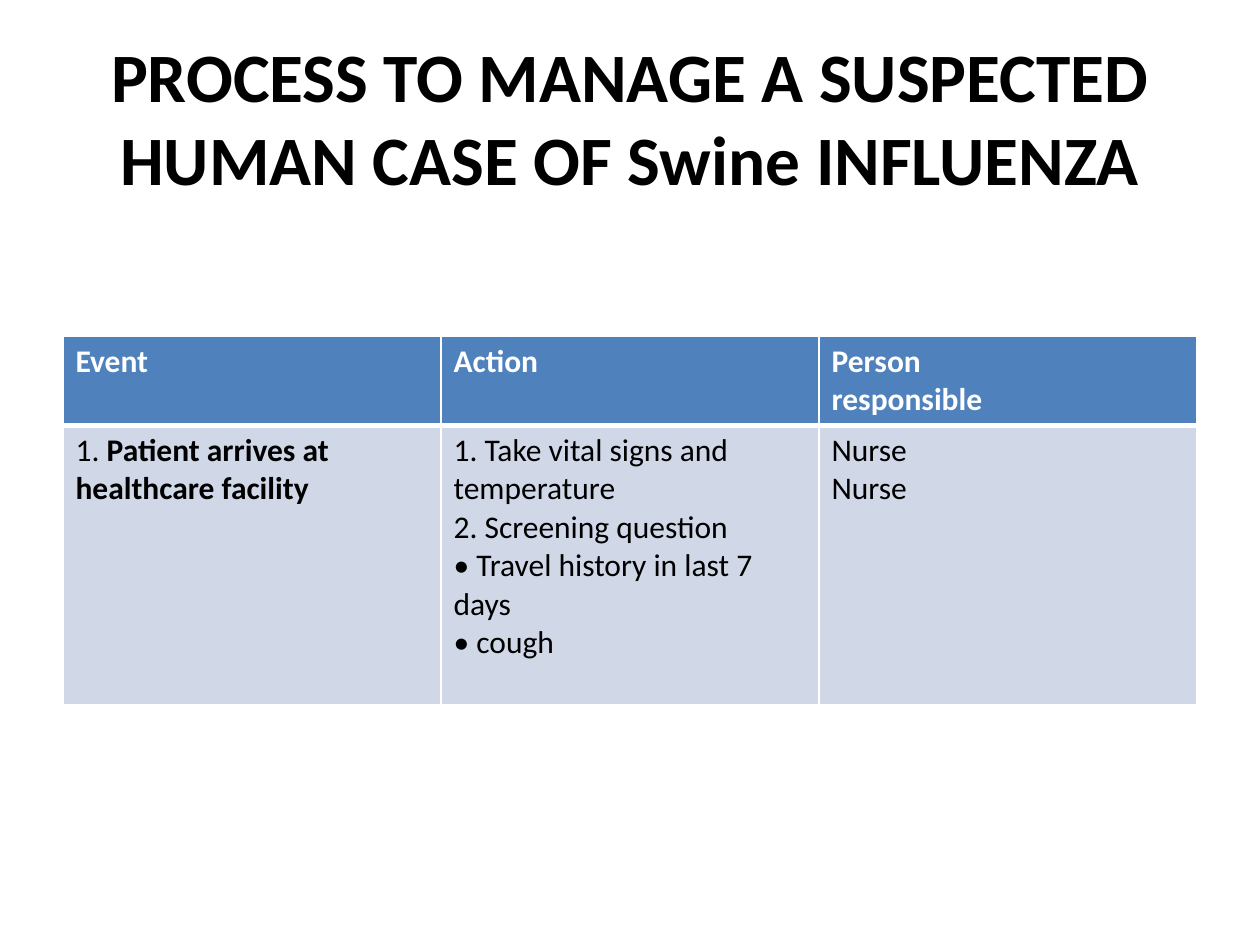
from lxml import etree
from pptx import Presentation
from pptx.dml.color import RGBColor
from pptx.enum.text import MSO_ANCHOR as Anchor, PP_ALIGN as Align
from pptx.oxml.ns import qn
from pptx.util import Pt

BLACK = RGBColor(0x00, 0x00, 0x00)
WHITE = RGBColor(0xFF, 0xFF, 0xFF)
BLUE = RGBColor(0x4F, 0x81, 0xBD)
PALE = RGBColor(0xD0, 0xD8, 0xE8)

# Each cell is a list of paragraphs, each paragraph a list of (text, bold) runs
HEADER = [
    [[("Event", True)]],
    [[("Action", True)]],
    [[("Person", True)], [("responsible", True)]],
]
BODY = [
    [[("1. ", False), ("Patient arrives at healthcare facility", True)]],
    [[(line, False)] for line in (
        "1. Take vital signs and temperature",
        "2. Screening question",
        "• Travel history in last 7 days",
        "• cough",
    )],
    [[("Nurse", False)], [("Nurse", False)]],
]


class Deck:
    font = "Calibri"

    def __init__(self, prs):
        self.s = prs.slides.add_slide(prs.slide_layouts[6])

    def style(self, r, size, color, bold):
        f = r.font
        f.name, f.size, f.bold = self.font, Pt(size), bold
        f.color.rgb = color

    def title(self, text, x, y, w, h, size):
        tf = self.s.shapes.add_textbox(Pt(x), Pt(y), Pt(w), Pt(h)).text_frame
        tf.word_wrap = True
        tf.vertical_anchor = Anchor.MIDDLE
        tf.text = text
        p = tf.paragraphs[0]
        p.alignment = Align.CENTER
        self.style(p.runs[0], size, BLACK, True)

    def border(self, cell, bottom):
        tc_pr = cell._tc.get_or_add_tcPr()
        widths = {"L": 1, "R": 1, "T": 1, "B": bottom}
        for i, (side, width) in enumerate(widths.items()):
            ln = etree.Element(qn(f"a:ln{side}"), w=str(Pt(width)))
            fill = etree.SubElement(ln, qn("a:solidFill"))
            etree.SubElement(fill, qn("a:srgbClr"), val=str(WHITE))
            tc_pr.insert(i, ln)

    def cell(self, cell, paragraphs, fill, color, bottom):
        cell.fill.solid()
        cell.fill.fore_color.rgb = fill
        self.border(cell, bottom)
        tf = cell.text_frame
        for i, runs in enumerate(paragraphs):
            p = tf.paragraphs[0] if i == 0 else tf.add_paragraph()
            for text, bold in runs:
                r = p.add_run()
                r.text = text
                self.style(r, 18, color, bold)

    def table(self, rows, x, y, w, heights):
        table = self.s.shapes.add_table(
            len(rows), len(rows[0][0]), Pt(x), Pt(y), Pt(w), Pt(sum(heights))).table
        for i, (cells, fill, color, bottom) in enumerate(rows):
            table.rows[i].height = Pt(heights[i])
            for j, paragraphs in enumerate(cells):
                self.cell(table.cell(i, j), paragraphs, fill, color, bottom)


def main():
    prs = Presentation()
    prs.slide_width, prs.slide_height = Pt(720), Pt(540)
    deck = Deck(prs)

    # Title
    deck.title("PROCESS TO MANAGE A SUSPECTED HUMAN CASE OF Swine INFLUENZA",
               36, 21.6, 648, 90, 39.6)

    # Table: header row with a thick rule below, then the body row
    deck.table([(HEADER, BLUE, WHITE, 3), (BODY, PALE, BLACK, 1)],
               36, 192, 648, [51, 160])

    prs.save("out.pptx")


if __name__ == "__main__":
    main()
